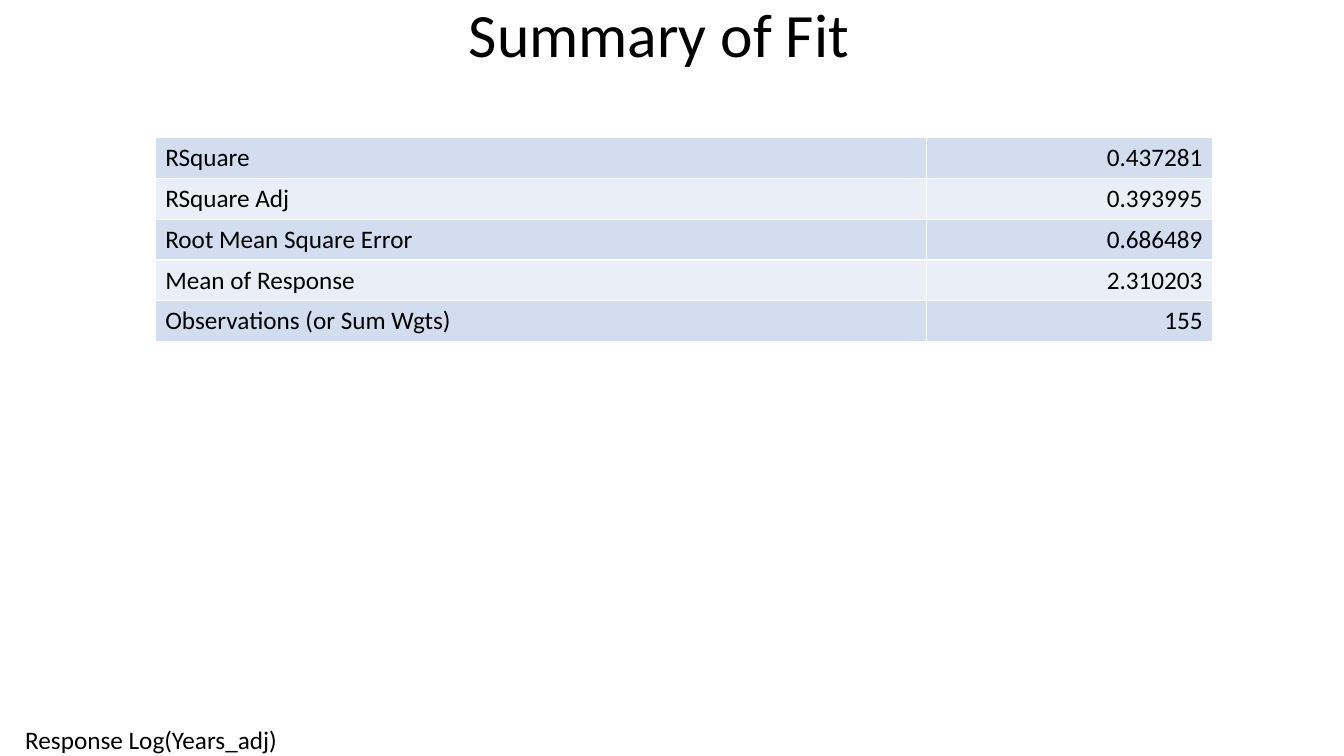
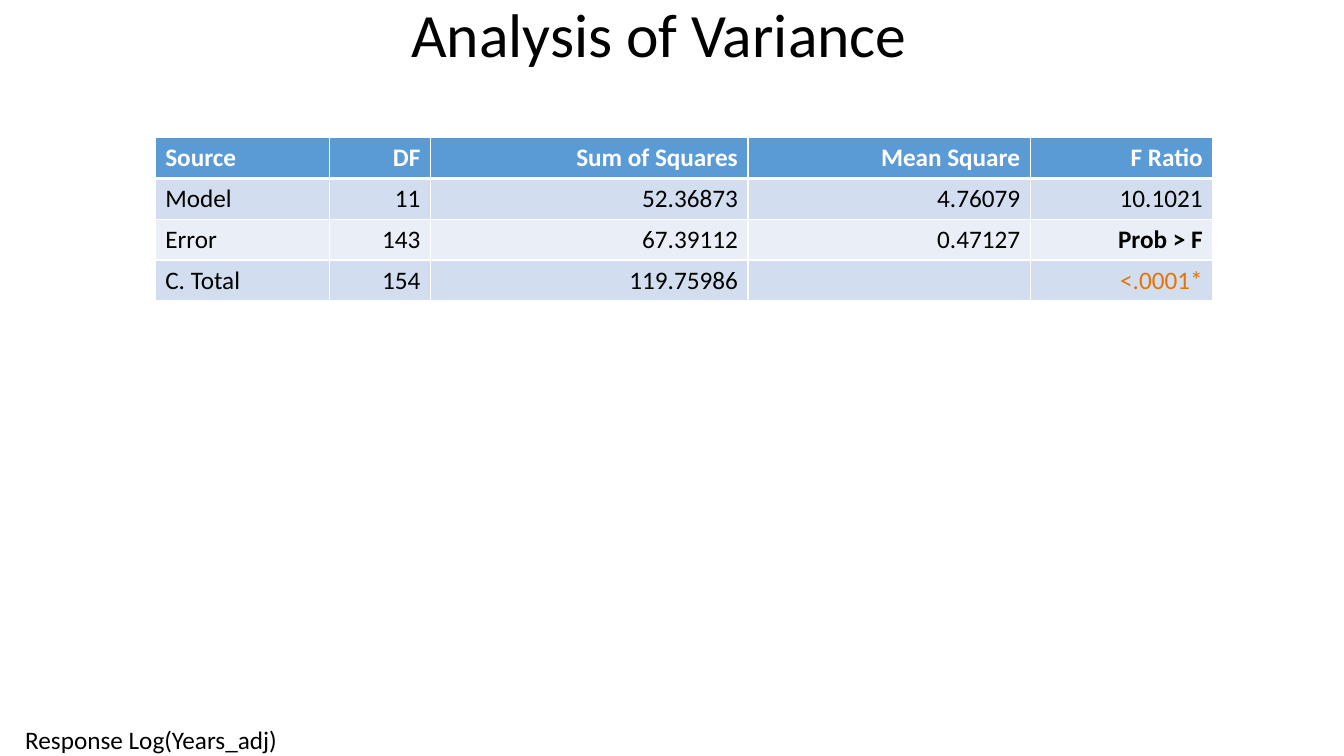
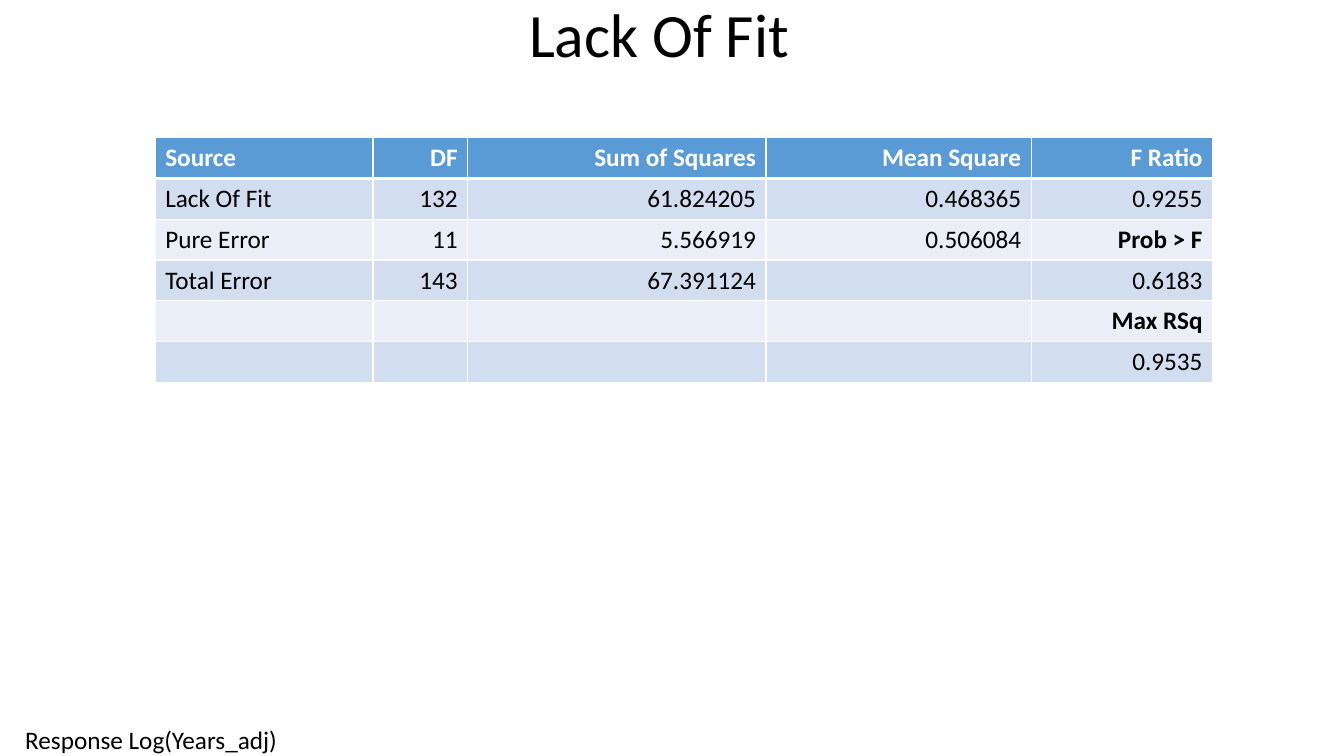
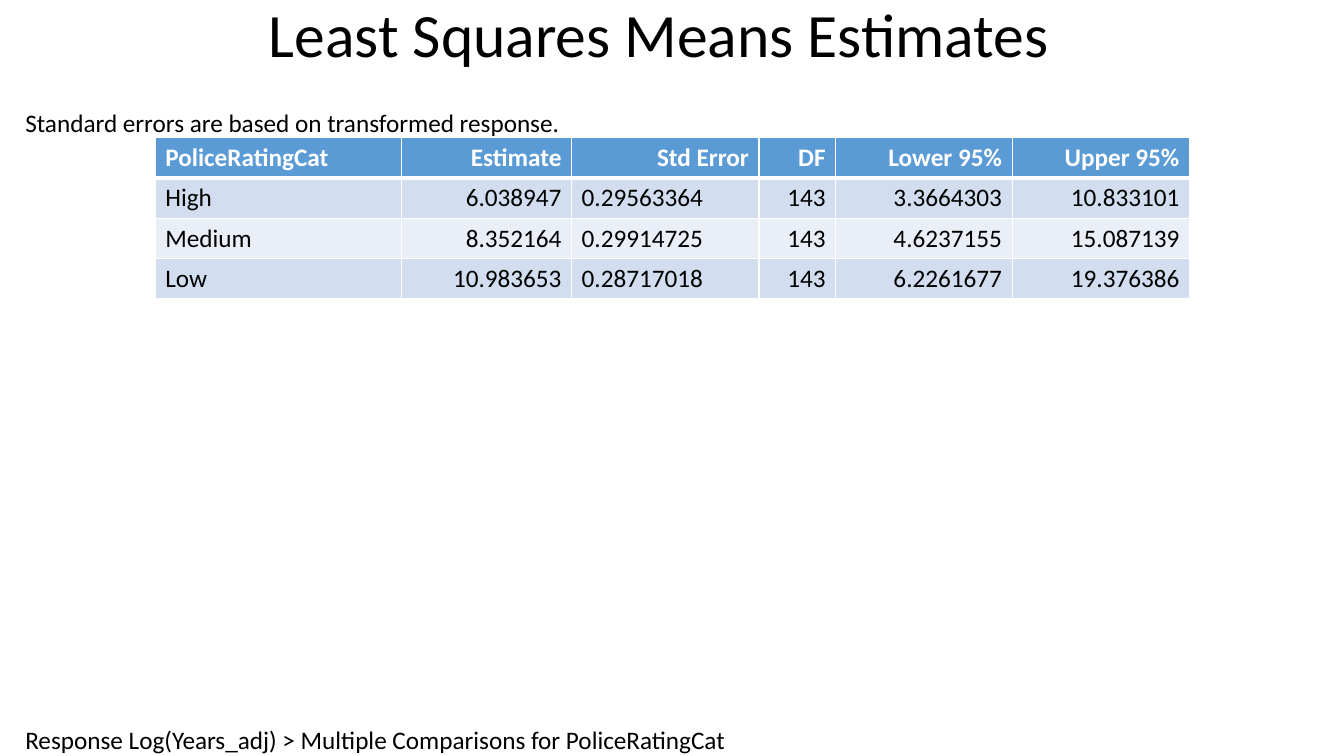
from dataclasses import dataclass

from lxml.etree import SubElement
from pptx import Presentation
from pptx.dml.color import RGBColor
from pptx.enum.text import MSO_ANCHOR, MSO_AUTO_SIZE, PP_ALIGN
from pptx.oxml.ns import qn
from pptx.util import Inches, Pt

COLORS = {
    "text": "000000",
    "white": "FFFFFF",
    "header": "5B9BD5",
    "band_dark": "D2DEEF",
    "band_light": "EAEFF7",
    "significant": "E57406",
}
FONT = "Calibri"
SLIDE_WIDTH, SLIDE_HEIGHT = Inches(13.33), Inches(7.5)

# Lengths below are percentages of the slide's width or height.
TITLE_BOX = (0, 0, 98.1, 10)
TABLE_LEFT, TABLE_TOP = 11.55, 18.2
NOTE_LEFT, NOTE_HEIGHT = 1.88, 4.13
SUBTITLE_TOP, FOOTER_TOP = 14.13, 95.87

TITLE_FORMAT = {"size": Pt(44), "bold": False}
BODY_FORMAT = {"size": Pt(18), "bold": False}
BOLD_FORMAT = {"size": Pt(18), "bold": True}
BOLD_LABELS = {"Prob > F", "Max RSq"}


@dataclass(frozen=True)
class Note:
    text: str
    top: float
    width: float


@dataclass(frozen=True)
class Report:
    title: str
    notes: tuple[Note, ...]
    column_widths: tuple[float, ...]
    rows: tuple[tuple[str, ...], ...]
    has_header: bool = True
    left_columns: tuple[int, ...] = (0,)
    row_height: float = 5.4


RESPONSE = Note("Response Log(Years_adj)", FOOTER_TOP, 18.98)
VARIANCE_HEADER = ("Source", "DF", "Sum of Squares", "Mean Square", "F Ratio")

REPORTS = (
    Report(
        "Summary of Fit",
        (RESPONSE,),
        (57.38, 21.3),
        (
            ("RSquare", "0.437281"),
            ("RSquare Adj", "0.393995"),
            ("Root Mean Square Error", "0.686489"),
            ("Mean of Response", "2.310203"),
            ("Observations (or Sum Wgts)", "155"),
        ),
        has_header=False,
    ),
    Report(
        "Analysis of Variance",
        (RESPONSE,),
        (12.98, 7.5, 23.63, 21, 13.58),
        (
            VARIANCE_HEADER,
            ("Model", "11", "52.36873", "4.76079", "10.1021"),
            ("Error", "143", "67.39112", "0.47127", "Prob > F"),
            ("C. Total", "154", "119.75986", "", "<.0001*"),
        ),
    ),
    Report(
        "Lack Of Fit",
        (RESPONSE,),
        (16.2, 7.05, 22.2, 19.73, 13.5),
        (
            VARIANCE_HEADER,
            ("Lack Of Fit", "132", "61.824205", "0.468365", "0.9255"),
            ("Pure Error", "11", "5.566919", "0.506084", "Prob > F"),
            ("Total Error", "143", "67.391124", "", "0.6183"),
            ("", "", "", "", "Max RSq"),
            ("", "", "", "", "0.9535"),
        ),
    ),
    Report(
        "Least Squares Means Estimates",
        (
            Note(
                "Response Log(Years_adj) > Multiple Comparisons for PoliceRatingCat",
                FOOTER_TOP,
                52.8,
            ),
            Note("Standard errors are based on transformed response.", SUBTITLE_TOP, 39.98),
        ),
        (18.3, 12.68, 13.95, 5.7, 13.13, 13.2),
        (
            ("PoliceRatingCat", "Estimate", "Std Error", "DF", "Lower 95%", "Upper 95%"),
            ("High", "6.038947", "0.29563364", "143", "3.3664303", "10.833101"),
            ("Medium", "8.352164", "0.29914725", "143", "4.6237155", "15.087139"),
            ("Low", "10.983653", "0.28717018", "143", "6.2261677", "19.376386"),
        ),
        left_columns=(0, 2),
        row_height=5.33,
    ),
)


def across(percent: float) -> int:
    return round(SLIDE_WIDTH * percent / 100)


def down(percent: float) -> int:
    return round(SLIDE_HEIGHT * percent / 100)


def write_text(paragraph, text: str, text_format: dict, color: str = "text") -> None:
    run = paragraph.add_run()
    run.text = text
    for name, value in {"name": FONT, **text_format}.items():
        setattr(run.font, name, value)
    run.font.color.rgb = RGBColor.from_string(COLORS[color])


def set_title(slide, text: str) -> None:
    title = slide.shapes.title
    left, top, width, height = TITLE_BOX
    title.left, title.top = across(left), down(top)
    title.width, title.height = across(width), down(height)
    frame = title.text_frame
    frame.auto_size = MSO_AUTO_SIZE.NONE
    frame.vertical_anchor = MSO_ANCHOR.MIDDLE
    paragraph = frame.paragraphs[0]
    paragraph.alignment = PP_ALIGN.CENTER
    paragraph.line_spacing = 0.9
    write_text(paragraph, text, TITLE_FORMAT)


def add_note(slide, note: Note) -> None:
    box = slide.shapes.add_textbox(
        across(NOTE_LEFT), down(note.top), across(note.width), down(NOTE_HEIGHT)
    )
    frame = box.text_frame
    for side in ("left", "top", "right", "bottom"):
        setattr(frame, f"margin_{side}", 0)
    frame.word_wrap = False
    frame.auto_size = MSO_AUTO_SIZE.SHAPE_TO_FIT_TEXT
    write_text(frame.paragraphs[0], note.text, BODY_FORMAT)


def set_borders(cell, top: float, bottom: float) -> None:
    """Draw white borders; top and bottom are line widths in points."""
    properties = cell._tc.get_or_add_tcPr()
    widths = {"lnL": 1, "lnR": 1, "lnT": top, "lnB": bottom}
    for position, (tag, width) in enumerate(widths.items()):
        line = SubElement(properties, qn(f"a:{tag}"), w=str(Pt(width)))
        fill = SubElement(line, qn("a:solidFill"))
        SubElement(fill, qn("a:srgbClr"), val=COLORS["white"])
        properties.insert(position, line)


def fill_cell(cell, report: Report, row: int, column: int) -> None:
    text = report.rows[row][column]
    is_header = report.has_header and row == 0
    body_row = row - report.has_header
    if is_header:
        fill, color = "header", "white"
    else:
        fill = "band_light" if body_row % 2 else "band_dark"
        color = "significant" if text.endswith("*") else "text"
    cell.fill.solid()
    cell.fill.fore_color.rgb = RGBColor.from_string(COLORS[fill])
    under_header = report.has_header and row == 1
    set_borders(cell, top=3 if under_header else 1, bottom=3 if is_header else 1)

    paragraph = cell.text_frame.paragraphs[0]
    is_left = column == 0 or (column in report.left_columns and not is_header)
    paragraph.alignment = PP_ALIGN.LEFT if is_left else PP_ALIGN.RIGHT
    if text:
        is_bold = is_header or text in BOLD_LABELS
        write_text(paragraph, text, BOLD_FORMAT if is_bold else BODY_FORMAT, color)


def add_report_table(slide, report: Report) -> None:
    row_count, column_count = len(report.rows), len(report.column_widths)
    table = slide.shapes.add_table(
        row_count,
        column_count,
        across(TABLE_LEFT),
        down(TABLE_TOP),
        across(sum(report.column_widths)),
        down(report.row_height * row_count),
    ).table
    table.first_row = report.has_header
    for column, width in zip(table.columns, report.column_widths):
        column.width = across(width)
    for row in range(row_count):
        for column in range(column_count):
            fill_cell(table.cell(row, column), report, row, column)


def main() -> None:
    presentation = Presentation()
    presentation.slide_width, presentation.slide_height = SLIDE_WIDTH, SLIDE_HEIGHT
    title_only = presentation.slide_layouts.get_by_name("Title Only")
    for report in REPORTS:
        slide = presentation.slides.add_slide(title_only)
        set_title(slide, report.title)
        for note in report.notes:
            add_note(slide, note)
        add_report_table(slide, report)
    presentation.save("out.pptx")


if __name__ == "__main__":
    main()
